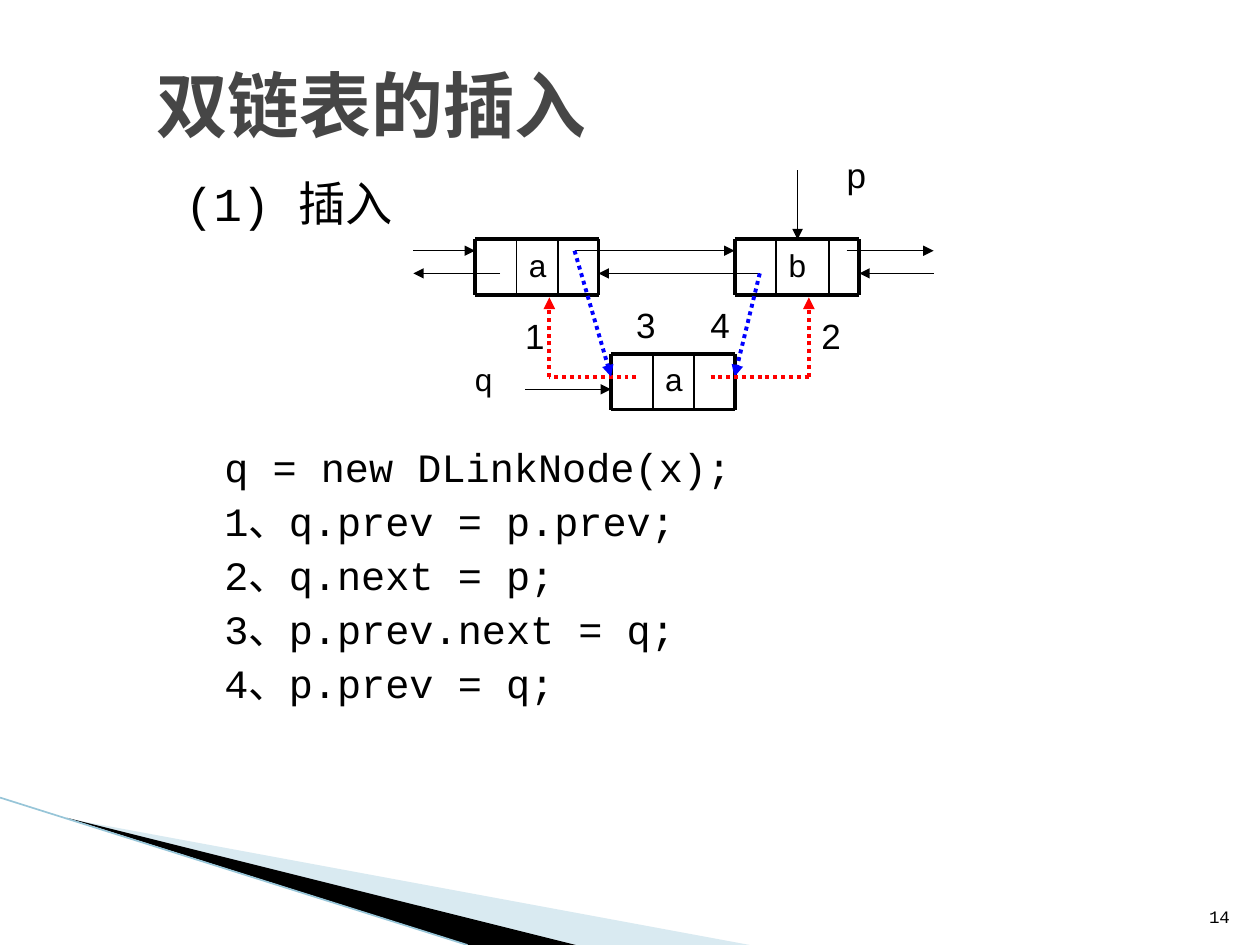
"""Build the slide on inserting a node into a doubly linked list."""
from dataclasses import dataclass
from typing import Optional

import pptx
import pptx.dml.color
import pptx.enum.dml
import pptx.enum.shapes
import pptx.enum.text
import pptx.oxml
import pptx.oxml.ns
import pptx.util
from pptx.util import Inches

BLACK = pptx.dml.color.RGBColor(0x00, 0x00, 0x00)
RED = pptx.dml.color.RGBColor(0xFF, 0x00, 0x00)
BLUE = pptx.dml.color.RGBColor(0x00, 0x00, 0xFF)
TITLE_GRAY = pptx.dml.color.RGBColor(0x46, 0x46, 0x46)
PALE_BLUE = pptx.dml.color.RGBColor(0xA0, 0xCB, 0xDC)
EDGE_BLUE = pptx.dml.color.RGBColor(0x97, 0xC5, 0xD8)
CODE_FONT = "Courier New"
LABEL_FONT = "Arial"
NODE_HEIGHT = 0.44
THICK, THIN, ARROW = 2.25, 1, 0.75


@dataclass
class Line:
    x1: float
    y1: float
    x2: float
    y2: float
    color: pptx.dml.color.RGBColor = BLACK
    width: float = ARROW
    dotted: bool = False
    arrow: bool = True


@dataclass
class Label:
    text: str
    left: float
    top: float
    width: float
    height: float
    size: float = 20


@dataclass
class Node:
    text: str
    left: float
    top: float
    data_width: float = 0.33
    width: float = 0.98


NODES = [
    Node("a", 4.85, 2.81),
    Node("a", 3.77, 1.9),
    Node("b", 5.83, 1.9, 0.42, 0.99),
]
LINKS = [
    Line(3.28, 1.99, 3.77, 1.99),
    Line(3.97, 2.17, 3.28, 2.17),
    Line(4.56, 1.99, 5.83, 1.99),
    Line(6.03, 2.17, 4.75, 2.17),
    Line(6.72, 1.99, 7.41, 1.99),
    Line(7.41, 2.17, 6.82, 2.17),
    Line(5.05, 2.99, 4.36, 2.99, RED, THICK, True, False),
    Line(4.36, 2.99, 4.36, 2.36, RED, THICK, True),
    Line(4.56, 1.99, 4.85, 2.99, BLUE, THICK, True),
    Line(6.03, 2.17, 5.83, 2.99, BLUE, THICK, True),
    Line(5.64, 2.99, 6.42, 2.99, RED, THICK, True, False),
    Line(6.42, 2.99, 6.42, 2.36, RED, THICK, True),
    Line(6.33, 1.35, 6.33, 1.9),
    Line(4.17, 3.09, 4.85, 3.09),
]
LABELS = [
    Label("p", 6.62, 1.17, 0.59, 0.47),
    Label("q", 3.67, 2.81, 0.49, 0.51, 18),
    Label("1", 4.07, 2.45, 0.39, 0.47),
    Label("4", 5.54, 2.36, 0.39, 0.47),
    Label("3", 4.95, 2.36, 0.39, 0.44),
    Label("2", 6.42, 2.45, 0.39, 0.44),
]
CODE = [
    "q = new DLinkNode(x);",
    "1、q.prev = p.prev;",
    "2、q.next = p;",
    "3、p.prev.next = q;",
    "4、p.prev = q;",
]


def add_element(parent, tag: str, **attributes: str):
    element = pptx.oxml.parse_xml(f"<{tag} {pptx.oxml.ns.nsdecls('a')}/>")
    for name, value in attributes.items():
        element.set(name, value)
    parent.append(element)


def set_font(paragraph, name: str, size: float, color=BLACK, bold: Optional[bool] = None) -> None:
    paragraph.font.name = name
    paragraph.font.size = pptx.util.Pt(size)
    paragraph.font.color.rgb = color
    paragraph.font.bold = bold


def place(shape, left: float, top: float, width: float, height: float) -> None:
    shape.left, shape.top = Inches(left), Inches(top)
    shape.width, shape.height = Inches(width), Inches(height)


def draw_line(slide, line: Line) -> None:
    connector = slide.shapes.add_connector(
        pptx.enum.shapes.MSO_CONNECTOR.STRAIGHT,
        Inches(line.x1), Inches(line.y1), Inches(line.x2), Inches(line.y2),
    )
    connector.line.color.rgb = line.color
    connector.line.width = pptx.util.Pt(line.width)
    if line.dotted:
        connector.line.dash_style = pptx.enum.dml.MSO_LINE.ROUND_DOT
    properties = connector._element.spPr
    if line.arrow:
        add_element(properties.find(pptx.oxml.ns.qn("a:ln")), "a:tailEnd", type="triangle")
    add_element(properties, "a:effectLst")


def draw_label(slide, label: Label, font: str = LABEL_FONT):
    box = slide.shapes.add_textbox(
        Inches(label.left), Inches(label.top), Inches(label.width), Inches(label.height)
    )
    box.text_frame.word_wrap = True
    box.text_frame.text = label.text
    set_font(box.text_frame.paragraphs[0], font, label.size)
    return box


def draw_node(slide, node: Node) -> None:
    data_left = node.left + 0.33
    data_right = data_left + node.data_width
    right, bottom = node.left + node.width, node.top + NODE_HEIGHT
    draw_label(slide, Label(node.text, data_left, node.top, node.data_width, NODE_HEIGHT, 18))
    for y in (node.top, bottom):
        draw_line(slide, Line(node.left, y, right, y, width=THICK, arrow=False))
    for x, width in ((node.left, THICK), (data_left, THIN), (data_right, THIN), (right, THICK)):
        draw_line(slide, Line(x, node.top, x, bottom, width=width, arrow=False))


def draw_wedge(slide, points: list[tuple[float, float]], color, opacity: int = 100) -> None:
    builder = slide.shapes.build_freeform(Inches(points[0][0]), Inches(points[0][1]))
    builder.add_line_segments([(Inches(x), Inches(y)) for x, y in points[1:]], close=True)
    shape = builder.convert_to_shape()
    shape.shadow.inherit = False
    shape.fill.solid()
    shape.fill.fore_color.rgb = color
    shape.line.fill.background()
    if opacity < 100:
        fill_color = shape._element.spPr.find(".//" + pptx.oxml.ns.qn("a:srgbClr"))
        add_element(fill_color, "a:alpha", val=str(opacity * 1000))


def fill_title(title) -> None:
    place(title, 1.14, 0.36, 8.52, 0.92)
    title.text_frame.text = "双链表的插入"
    title.text_frame.vertical_anchor = pptx.enum.text.MSO_ANCHOR.MIDDLE
    paragraph = title.text_frame.paragraphs[0]
    paragraph.alignment = pptx.enum.text.PP_ALIGN.LEFT
    set_font(paragraph, CODE_FONT, 41, TITLE_GRAY, True)


def fill_body(body) -> None:
    place(body, 1.25, 1.33, 7.77, 5.86)
    frame = body.text_frame
    frame.text = "\n".join(["(1) 插入", *CODE])
    frame.auto_size = pptx.enum.text.MSO_AUTO_SIZE.NONE
    for index, paragraph in enumerate(frame.paragraphs):
        margin, hanging, size = (0.68, -0.25, 23) if index else (0.4, -0.28, 27)
        paragraph.level = 1 if index else 0
        properties = paragraph._p.get_or_add_pPr()
        properties.set("marL", str(Inches(margin)))
        properties.set("indent", str(Inches(hanging)))
        paragraph.space_before = pptx.util.Pt((0, 121)[index] if index < 2 else 3.2)
        add_element(properties, "a:buNone")
        set_font(paragraph, CODE_FONT, size)


def main() -> None:
    presentation = pptx.Presentation()
    presentation.slide_width, presentation.slide_height = Inches(10), Inches(7.5)
    slide = presentation.slides.add_slide(presentation.slide_layouts[1])
    fill_title(slide.shapes.title)
    fill_body(slide.placeholders[1])
    draw_wedge(slide, [(0.55, 6.5), (5.95, 7.5), (4.56, 7.5)], PALE_BLUE, 40)
    draw_wedge(slide, [(0.53, 6.49), (4.57, 7.5), (3.72, 7.5)], BLACK)
    draw_line(slide, Line(0, 6.33, 3.71, 7.5, EDGE_BLUE, 0.95, arrow=False))
    for node in NODES:
        draw_node(slide, node)
    for link in LINKS:
        draw_line(slide, link)
    for label in LABELS:
        draw_label(slide, label)
    number = draw_label(slide, Label("14", 9.46, 7.01, 0.4, 0.4, 10), CODE_FONT)
    number.text_frame.vertical_anchor = pptx.enum.text.MSO_ANCHOR.BOTTOM
    number.text_frame.paragraphs[0].alignment = pptx.enum.text.PP_ALIGN.RIGHT
    presentation.save("out.pptx")


if __name__ == "__main__":
    main()
